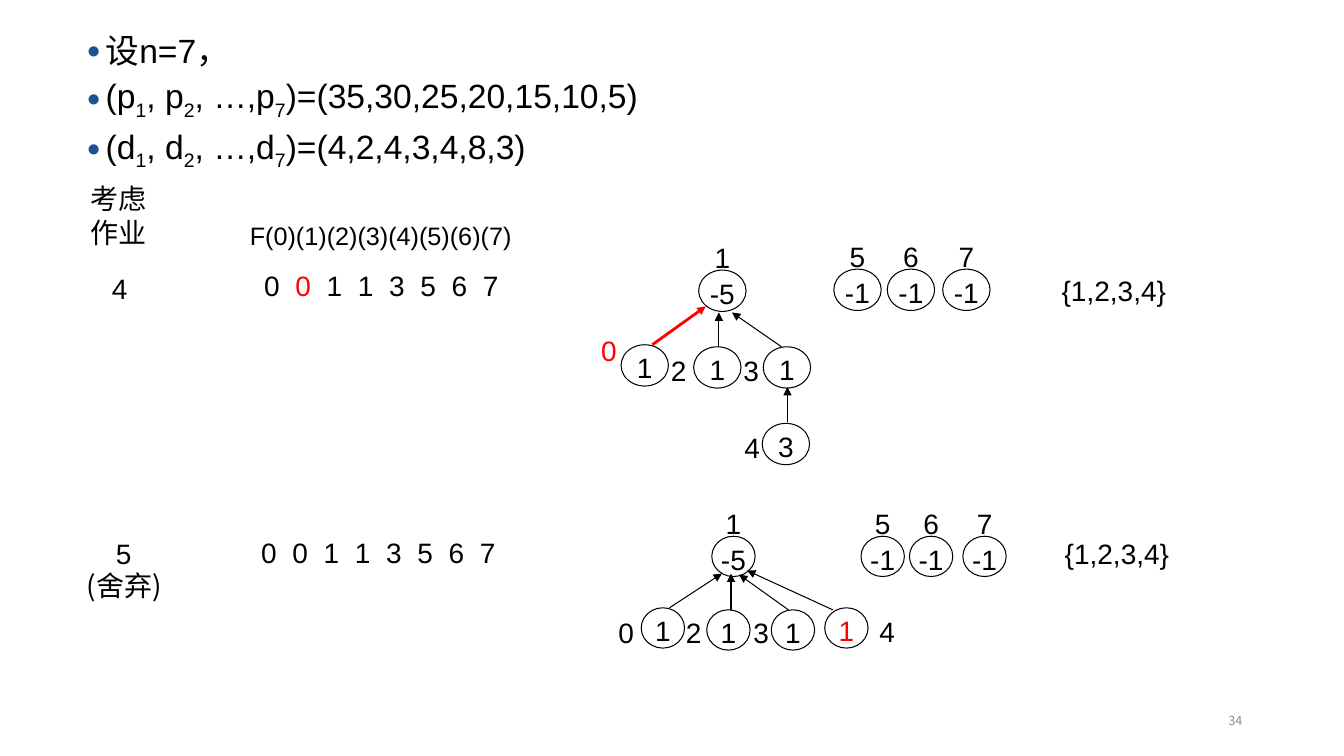
import pptx
import pptx.util
import pptx.dml.color
import pptx.enum.shapes
import pptx.enum.text
import pptx.oxml.ns
from lxml import etree

Inches, Pt = pptx.util.Inches, pptx.util.Pt
RGBColor = pptx.dml.color.RGBColor
ALIGN = pptx.enum.text.PP_ALIGN
ANCHOR = pptx.enum.text.MSO_ANCHOR

BLACK = RGBColor(0x00, 0x00, 0x00)
RED = RGBColor(0xFF, 0x00, 0x00)
BLUE = RGBColor(0x1E, 0x52, 0x93)
GRAY = RGBColor(0x8C, 0x8C, 0x8C)
LATIN, CJK = "Arial", "Noto Sans CJK SC"
DIGIT_PITCH = 0.31


def sub(parent, tag, **attrs):
    return etree.SubElement(parent, pptx.oxml.ns.qn(tag), attrs)


def write(tf, paras, size=20, color=BLACK, font=LATIN, align=ALIGN.LEFT,
          anchor=ANCHOR.TOP, inset=0, wrap=True):
    """Fill a frame; a paragraph is a string or (text, changes) pairs."""
    tf.word_wrap, tf.vertical_anchor = wrap, anchor
    tf.margin_left = tf.margin_right = Inches(inset)
    tf.margin_top = tf.margin_bottom = Inches(inset / 2)
    for i, runs in enumerate(paras):
        p = tf.paragraphs[0] if i == 0 else tf.add_paragraph()
        p.alignment = align
        for text, changes in [(runs, {})] if isinstance(runs, str) else runs:
            r = p.add_run()
            r.text = text
            r.font.size, r.font.name = Pt(size), font
            r.font.color.rgb = changes.get("color", color)
            rpr = r.font._element
            sub(rpr, "a:ea", typeface=CJK)
            if "baseline" in changes:
                rpr.set("baseline", str(changes["baseline"]))


def add_text(s, box, *paras, **fmt):
    tf = s.shapes.add_textbox(*map(Inches, box)).text_frame
    write(tf, paras, **fmt)
    return tf


def add_arrow(s, x1, y1, x2, y2, color=BLACK, width=0.75):
    line = s.shapes.add_connector(pptx.enum.shapes.MSO_CONNECTOR.STRAIGHT,
                                  *map(Inches, (x1, y1, x2, y2)))
    line.line.color.rgb, line.line.width = color, Pt(width)
    sub(line.line._get_or_add_ln(), "a:tailEnd", type="triangle")
    sub(line._element.spPr, "a:effectLst")


def add_problem(s, box):
    """Bulleted statement of the profits and deadlines."""
    def series(name, values):
        runs = []
        for lead, index in ((f"({name}", "1"), (f", {name}", "2"), (f", …,{name}", "7")):
            runs += [(lead, {}), (index, {"baseline": -25000})]
        return runs + [(f")=({values})", {})]

    tf = add_text(s, box, "设n=7，", series("p", "35,30,25,20,15,10,5"),
                  series("d", "4,2,4,3,4,8,3"), size=24, inset=0.1)
    for p in tf.paragraphs:
        p.line_spacing = 1.1
        ppr = p._p.get_or_add_pPr()
        ppr.set("marL", str(Inches(0.19)))
        ppr.set("indent", str(-Inches(0.19)))
        sub(sub(ppr, "a:buClr"), "a:srgbClr", val=str(BLUE))
        sub(ppr, "a:buSzPct", val="70000")
        sub(ppr, "a:buFont", typeface=LATIN)
        sub(ppr, "a:buChar", char="●")


def add_parents(s, box, digits, red_at=None):
    """The F values, one tab stop to each digit."""
    runs = [(("\t" if i else "") + d, {"color": RED if i == red_at else BLACK})
            for i, d in enumerate(digits)]
    tf = add_text(s, box, runs)
    tabs = sub(tf.paragraphs[0]._p.get_or_add_pPr(), "a:tabLst")
    for i in range(1, len(digits)):
        sub(tabs, "a:tab", pos=str(Inches(round(i * DIGIT_PITCH, 2))), algn="l")


def add_forest(s, box, nodes, arrows, red_value=None, red_label=None):
    """Nodes are (label, value, x, y[, label x, label y]); box is left, top, node width, height."""
    left, top, w, h = box
    label_w, label_h = 0.18, 0.27
    for label, value, x, y, *label_at in nodes:
        node = s.shapes.add_shape(pptx.enum.shapes.MSO_SHAPE.OVAL,
                                  *map(Inches, (left + x, top + y, w, h)))
        node.shadow.inherit = False
        node.fill.background()
        node.line.color.rgb, node.line.width = BLACK, Pt(0.75)
        write(node.text_frame, [value], align=ALIGN.CENTER,
              color=RED if label == red_value else BLACK)
        # A label stands above its node unless it has its own place
        lx, ly = label_at or (x + (w - label_w) / 2, y - 0.29)
        add_text(s, (left + lx, top + ly, label_w, label_h), label,
                 align=ALIGN.CENTER, color=RED if label == red_label else BLACK)
    for x1, y1, x2, y2, *style in arrows:
        add_arrow(s, left + x1, top + y1, left + x2, top + y2, *style)


def add_slide(prs):
    s = prs.slides.add_slide(prs.slide_layouts[6])
    add_problem(s, (0.76, 0.21, 6.02, 1.81))

    # Column headings
    add_text(s, (0.9, 1.8, 0.72, 0.79), "考虑", "作业", font=CJK)
    add_text(s, (2.38, 2.14, 3.07, 0.4), "F(0)(1)(2)(3)(4)(5)(6)(7)", size=18, inset=0.1)

    # Job 4: accepted
    add_text(s, (1.11, 2.69, 0.16, 0.34), "4")
    add_parents(s, (2.62, 2.66, 2.83, 0.39), "00113567", red_at=1)
    add_forest(s, (5.95, 2.37, 0.47, 0.41), [
        ("0", "1", 0.21, 1.05, 0, 0.94),
        ("1", "-5", 0.98, 0.31),
        ("2", "1", 0.93, 1.07, 0.69, 1.14),
        ("3", "1", 1.62, 1.07, 1.41, 1.14),
        ("4", "3", 1.61, 1.83, 1.42, 1.9),
        ("5", "-1", 2.32, 0.3),
        ("6", "-1", 2.85, 0.3),
        ("7", "-1", 3.4, 0.3),
    ], [
        (1.86, 1.82, 1.86, 1.47),
        (1.18, 1.07, 1.18, 0.73),
        (1.8, 1.07, 1.31, 0.73),
        (0.52, 1.05, 1.05, 0.67, RED, 2),
    ], red_label="0")
    add_text(s, (10.53, 2.71, 1.24, 0.34), "{1,2,3,4}")

    # Job 5: rejected
    add_text(s, (1.15, 5.32, 0.24, 0.34), "5")
    add_text(s, (0.86, 5.64, 0.85, 0.34), "(舍弃)", font=CJK)
    add_parents(s, (2.59, 5.31, 2.54, 0.39), "00113567")
    add_forest(s, (6.12, 5.03, 0.43, 0.4), [
        ("0", "1", 0.24, 1, 0, 1.08),
        ("1", "-5", 0.94, 0.29),
        ("2", "1", 0.89, 1.02, 0.67, 1.08),
        ("3", "1", 1.53, 1.02, 1.34, 1.08),
        ("4", "1", 2.06, 1, 2.59, 1.07),
        ("5", "-1", 2.42, 0.29),
        ("6", "-1", 2.9, 0.29),
        ("7", "-1", 3.43, 0.29),
    ], [
        (2.14, 1.02, 1.29, 0.63),
        (1.13, 1.02, 1.13, 0.66),
        (1.7, 1.02, 1.21, 0.67),
        (0.52, 1, 1.04, 0.66),
    ], red_value="4")
    add_text(s, (10.56, 5.32, 1.18, 0.39), "{1,2,3,4}")

    # Page number
    add_text(s, (9.42, 6.95, 3, 0.4), "34", size=9, color=GRAY, font=CJK,
             align=ALIGN.RIGHT, anchor=ANCHOR.MIDDLE, inset=0.1)


def main():
    prs = pptx.Presentation()
    prs.slide_width, prs.slide_height = Inches(13.33), Inches(7.5)
    add_slide(prs)
    prs.save("out.pptx")


if __name__ == "__main__":
    main()
